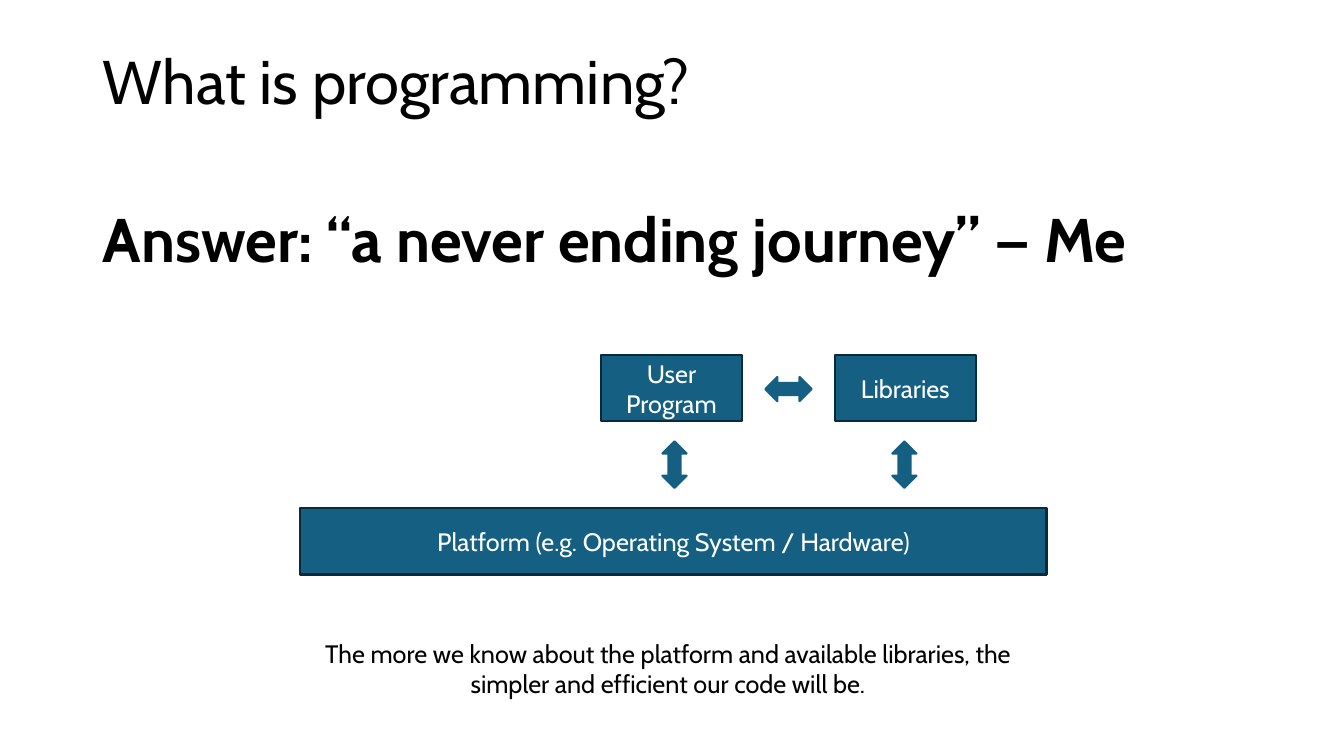
"""Build a slide that explains programming with a platform diagram."""
from pptx import Presentation
from pptx.dml.color import RGBColor
from pptx.enum.shapes import MSO_SHAPE
from pptx.enum.text import MSO_ANCHOR, MSO_AUTO_SIZE, PP_ALIGN
from pptx.util import Inches, Pt

RECTANGLE = MSO_SHAPE.RECTANGLE
ARROW = MSO_SHAPE.LEFT_RIGHT_ARROW
MIDDLE, TOP = MSO_ANCHOR.MIDDLE, MSO_ANCHOR.TOP
LEFT, CENTER = PP_ALIGN.LEFT, PP_ALIGN.CENTER
NO_FIT = MSO_AUTO_SIZE.NONE
FONT = "Cabin"
BLUE, NAVY, WHITE, BLACK = "156082", "092A39", "FFFFFF", "000000"


def write(shape, text, size, color, align, anchor=MIDDLE, bold=False):
    frame = shape.text_frame
    frame.word_wrap = True
    frame.auto_size = NO_FIT
    frame.vertical_anchor = anchor
    para = frame.paragraphs[0]
    para.alignment = align
    span = para.add_run()
    span.text = text
    span.font.name = FONT
    span.font.size = Pt(size)
    span.font.bold = bold
    span.font.color.rgb = RGBColor.from_string(color)
    return para


def add_block(page, kind, place, line_color):
    block = page.shapes.add_shape(kind, *map(Inches, place))
    block.shadow.inherit = False
    block.fill.solid()
    block.fill.fore_color.rgb = RGBColor.from_string(BLUE)
    block.line.color.rgb = RGBColor.from_string(line_color)
    block.line.width = Pt(1.5)
    return block


deck = Presentation()
deck.slide_width, deck.slide_height = Inches(13.33), Inches(7.5)
page = deck.slides.add_slide(deck.slide_layouts[5])

title = page.shapes.title
title.left, title.top = Inches(0.92), Inches(0.4)
title.width, title.height = Inches(11.5), Inches(0.88)
write(title, "What is programming?", 44, BLACK, LEFT).line_spacing = 0.9

answer = page.shapes.add_textbox(Inches(0.92), Inches(1.87), Inches(11.5), Inches(1.08))
quote = "Answer: “a never ending journey” — Me"
write(answer, quote, 44, BLACK, LEFT, bold=True).line_spacing = 0.9

for label, left, top, width in [
    ("User Program", 5.96, 3.52, 1.4),
    ("Libraries", 8.28, 3.52, 1.4),
    ("Platform (e.g. Operating System / Hardware)", 2.98, 5.04, 7.4),
]:
    box = add_block(page, RECTANGLE, (left, top, width, 0.66), NAVY)
    write(box, label, 18, WHITE, CENTER)

for left, top, angle in [(6.46, 4.49, 90), (8.74, 4.49, 90), (7.59, 3.74, 180)]:
    arrow = add_block(page, ARROW, (left, top, 0.46, 0.24), BLUE)
    arrow.rotation = angle

summary = page.shapes.add_textbox(Inches(2.99), Inches(6.28), Inches(7.27), Inches(0.71))
lesson = (
    "The more we know about the platform and available libraries, "
    "the simpler and efficient our code will be."
)
write(summary, lesson, 18, BLACK, CENTER, TOP)

deck.save("out.pptx")
